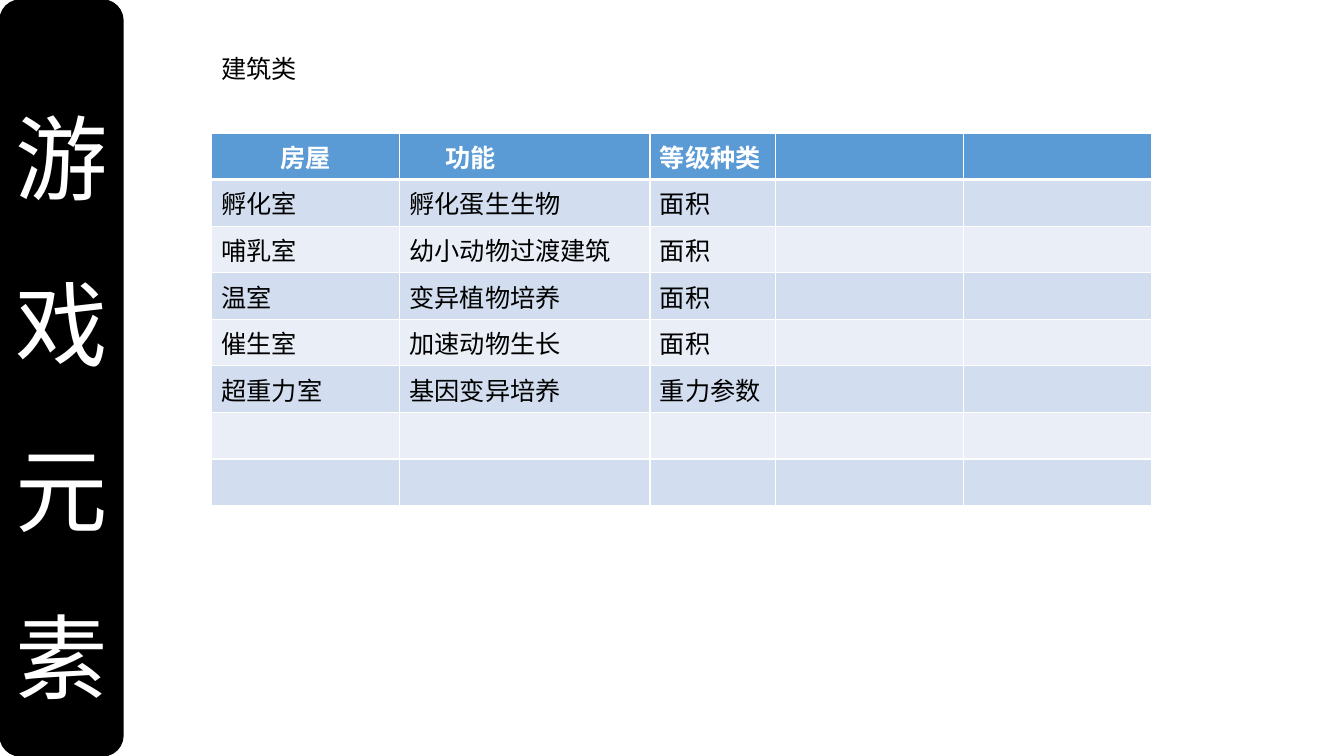
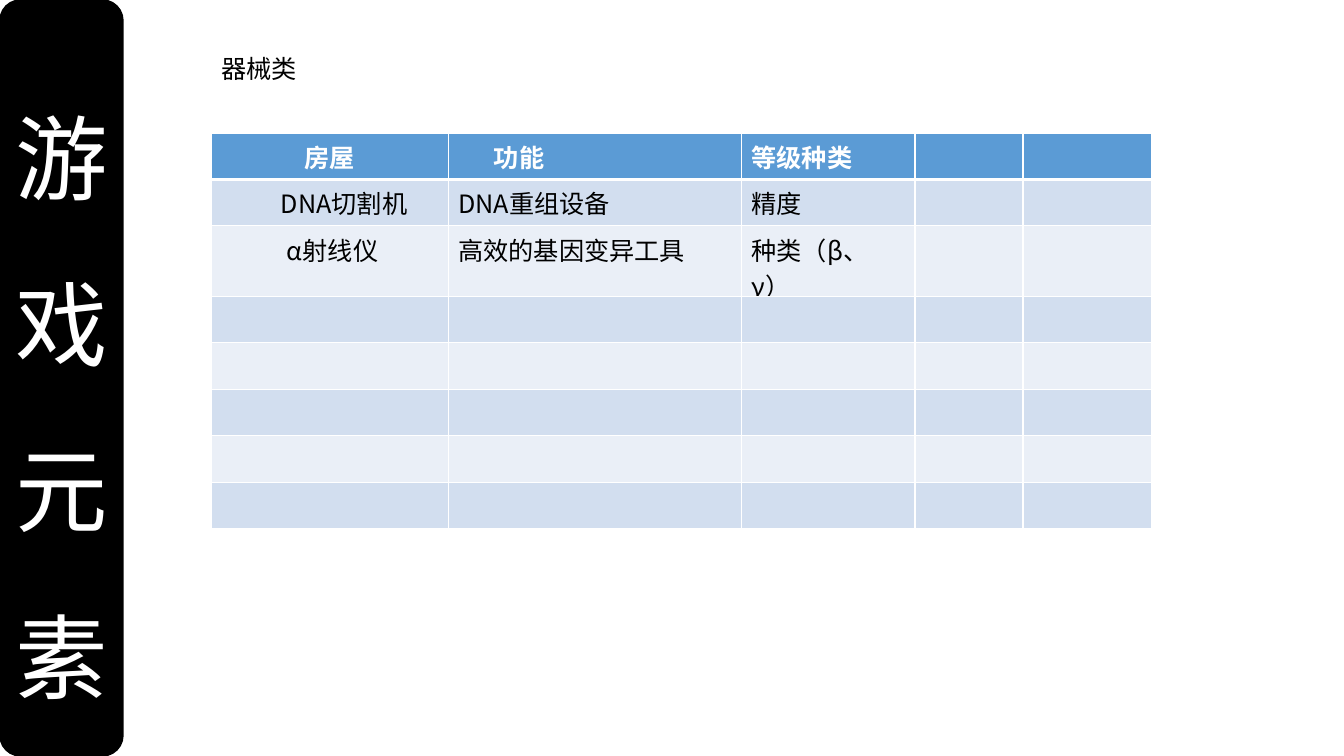
from dataclasses import dataclass

import lxml.etree
import pptx
import pptx.dml.color
import pptx.enum.shapes
import pptx.enum.text
import pptx.oxml
import pptx.oxml.ns
import pptx.util

Cm = pptx.util.Cm
Pt = pptx.util.Pt
qn = pptx.oxml.ns.qn
ALIGN = pptx.enum.text.PP_ALIGN
ANCHOR = pptx.enum.text.MSO_ANCHOR


@dataclass(frozen=True)
class Theme:
    typeface: str = "Noto Sans CJK SC"
    black: str = "000000"
    white: str = "FFFFFF"
    header: str = "5B9BD5"
    bands: tuple = ("D2DEEF", "EAEFF7")
    chapter_size: int = 66
    body_size: int = 18
    rule: int = 1
    header_rule: int = 3


CHAPTER = ("游", "戏", "元素")
HEADINGS = ("房屋", "功能", "等级种类")
ROW_COUNT = 8
COLUMN_COUNT = 5
CELL_INSET = 0.25
CENTERED = {"alignment": ALIGN.CENTER}

CATEGORIES = (
    {
        "title": "建筑类",
        "widths": (4.74, 6.31, 3.17, 4.74, 4.74),
        "entries": (
            ("孵化室", "孵化蛋生生物", "面积"),
            ("哺乳室", "幼小动物过渡建筑", "面积"),
            ("温室", "变异植物培养", "面积"),
            ("催生室", "加速动物生长", "面积"),
            ("超重力室", "基因变异培养", "重力参数"),
        ),
        "centered": {(0, 0)},
        "indents": {(0, 1): 0.9},
    },
    {
        "title": "器械类",
        "widths": (5.97, 7.39, 4.37, 2.72, 3.25),
        "entries": (
            ("DNA切割机", "DNA重组设备", "精度"),
            ("α射线仪", "高效的基因变异工具", "种类（β、γ）"),
        ),
        "centered": {(0, 0), (1, 0), (2, 0)},
        "indents": {(0, 1): 0.9, (1, 0): 0.71, (2, 0): 0.14},
    },
)


def apply_format(target, values):
    for attribute, value in values.items():
        setattr(target, attribute, value)


def rgb(color):
    return pptx.dml.color.RGBColor.from_string(color)


class Deck:
    def __init__(self, theme):
        self.theme = theme
        self.presentation = pptx.Presentation()
        apply_format(self.presentation,
                     {"slide_width": Cm(33.87), "slide_height": Cm(19.05)})
        self.slide = None

    def new_slide(self):
        blank = self.presentation.slide_layouts[6]
        self.slide = self.presentation.slides.add_slide(blank)

    def styled_text(self, paragraph, text, size, color, bold=False,
                    layout=None):
        apply_format(paragraph, layout or {})
        run = paragraph.add_run()
        run.text = text
        apply_format(run.font, {"name": self.theme.typeface,
                                "size": Pt(size), "bold": bold})
        run.font.color.rgb = rgb(color)
        east_asian = lxml.etree.SubElement(run.font._element, qn("a:ea"))
        east_asian.set("typeface", self.theme.typeface)

    def chapter_band(self, lines):
        theme = self.theme
        band = self.slide.shapes.add_shape(
            pptx.enum.shapes.MSO_SHAPE.ROUNDED_RECTANGLE,
            0, 0, Cm(3.1), self.presentation.slide_height)
        band.shadow.inherit = False
        band.fill.solid()
        band.fill.fore_color.rgb = rgb(theme.black)
        band.line.color.rgb = rgb(theme.black)
        band.line.width = Pt(theme.rule)
        frame = band.text_frame
        apply_format(frame, {"word_wrap": True,
                             "vertical_anchor": ANCHOR.MIDDLE})
        for index, line in enumerate(lines):
            paragraph = frame.add_paragraph() if index else frame.paragraphs[0]
            self.styled_text(paragraph, line, theme.chapter_size, theme.white,
                             layout={"alignment": ALIGN.LEFT,
                                     "line_spacing": 1.5})

    def category_title(self, text):
        title = self.slide.shapes.add_textbox(
            Cm(5.33), Cm(1.22), Cm(2.41), Cm(1.02))
        apply_format(title.text_frame, {
            "word_wrap": False,
            "auto_size": pptx.enum.text.MSO_AUTO_SIZE.SHAPE_TO_FIT_TEXT})
        self.styled_text(title.text_frame.paragraphs[0], text,
                         self.theme.body_size, self.theme.black,
                         layout=CENTERED)

    def cell_borders(self, cell, row):
        theme = self.theme
        weights = {"L": theme.rule, "R": theme.rule,
                   "T": theme.header_rule if row == 1 else theme.rule,
                   "B": theme.header_rule if row == 0 else theme.rule}
        properties = cell._tc.get_or_add_tcPr()
        for side, weight in weights.items():
            border = lxml.etree.SubElement(properties, qn(f"a:ln{side}"))
            border.set("w", str(Pt(weight)))
            fill = lxml.etree.SubElement(border, qn("a:solidFill"))
            color = lxml.etree.SubElement(fill, qn("a:srgbClr"))
            color.set("val", theme.white)

    def element_table(self, widths, entries, centered, indents):
        theme = self.theme
        row_height = Cm(1.17)
        table = self.slide.shapes.add_table(
            ROW_COUNT, COLUMN_COUNT, Cm(5.33), Cm(3.35),
            Cm(sum(widths)), row_height * ROW_COUNT).table
        for column, width in zip(table.columns, widths):
            column.width = Cm(width)
        contents = (HEADINGS, *entries)
        for row in range(ROW_COUNT):
            table.rows[row].height = row_height
            is_header = row == 0
            texts = contents[row] if row < len(contents) else ()
            for column in range(COLUMN_COUNT):
                place = (row, column)
                cell = table.cell(row, column)
                self.cell_borders(cell, row)
                cell.fill.solid()
                cell.fill.fore_color.rgb = rgb(
                    theme.header if is_header else theme.bands[(row - 1) % 2])
                cell.margin_left = Cm(CELL_INSET + indents.get(place, 0))
                if column < len(texts):
                    self.styled_text(cell.text_frame.paragraphs[0],
                                     texts[column], theme.body_size,
                                     theme.white if is_header else theme.black,
                                     is_header,
                                     CENTERED if place in centered else None)


def main():
    deck = Deck(Theme())
    for category in CATEGORIES:
        deck.new_slide()
        deck.chapter_band(CHAPTER)
        deck.element_table(category["widths"], category["entries"],
                           category["centered"], category["indents"])
        deck.category_title(category["title"])
    deck.presentation.save("out.pptx")


if __name__ == "__main__":
    main()
